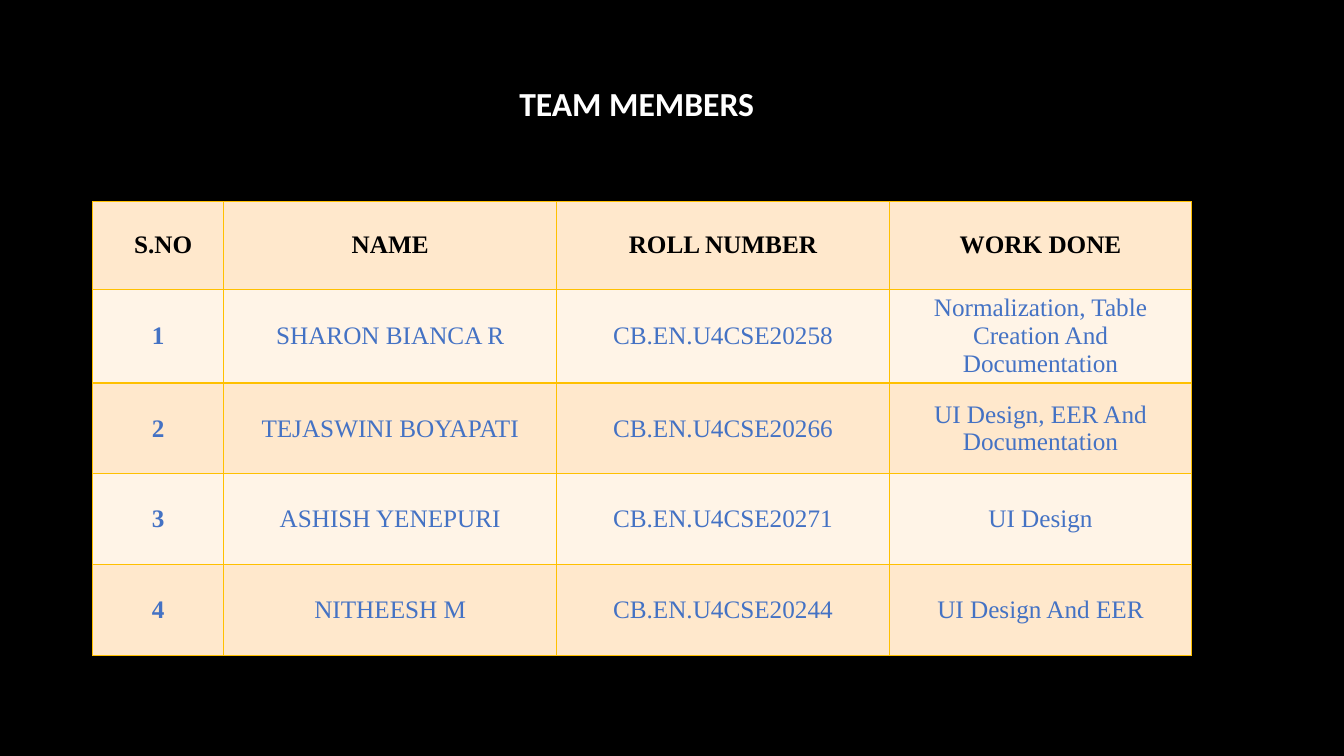
from lxml.etree import SubElement
from pptx import Presentation
from pptx.dml.color import RGBColor
from pptx.enum.text import MSO_ANCHOR, PP_ALIGN
from pptx.oxml.ns import qn
from pptx.util import Inches, Pt

COLORS = {
    "background": "000000",
    "title": "FFFFFF",
    "heading": "000000",
    "entry": "4472C4",
    "band_dark": "FFE8CC",
    "band_light": "FFF4E7",
    "border": "FFC000",
}
COLUMN_WIDTHS = [1.3, 3.3, 3.3, 3]
ROW_HEIGHTS = [0.87, 0.9, 0.9, 0.9, 0.9]
MEMBERS = [
    ["S.NO", "NAME", "ROLL NUMBER", "WORK DONE"],
    ["1", "SHARON BIANCA R", "CB.EN.U4CSE20258", "Normalization, Table Creation And Documentation"],
    ["2", "TEJASWINI BOYAPATI", "CB.EN.U4CSE20266", "UI Design, EER And Documentation"],
    ["3", "ASHISH YENEPURI", "CB.EN.U4CSE20271", "UI Design"],
    ["4", "NITHEESH M", "CB.EN.U4CSE20244", "UI Design And EER"],
]


def write_text(text_frame, text, size=18, font="Times New Roman", color="entry",
               bold=False, align=PP_ALIGN.CENTER):
    paragraph = text_frame.paragraphs[0]
    paragraph.alignment = align
    run = paragraph.add_run()
    run.text = text
    run.font.size = Pt(size)
    run.font.name = font
    run.font.bold = bold
    run.font.color.rgb = RGBColor.from_string(COLORS[color])


def add_borders(cell):
    properties = cell._tc.get_or_add_tcPr()
    for side in ("a:lnL", "a:lnR", "a:lnT", "a:lnB"):
        line = SubElement(properties, qn(side), w=str(Pt(1)))
        fill = SubElement(line, qn("a:solidFill"))
        SubElement(fill, qn("a:srgbClr"), val=COLORS["border"])


presentation = Presentation()
presentation.slide_width = Inches(13.33)
presentation.slide_height = Inches(7.5)
slide = presentation.slides.add_slide(presentation.slide_layouts[5])
slide.background.fill.solid()
slide.background.fill.fore_color.rgb = RGBColor.from_string(COLORS["background"])

title = slide.shapes.title
title.left, title.top = Inches(4.27), Inches(0.77)
title.width, title.height = Inches(4.09), Inches(0.5)
title.text_frame.vertical_anchor = MSO_ANCHOR.MIDDLE
write_text(title.text_frame, "TEAM MEMBERS", size=24, font="Calibri", color="title", bold=True)

table = slide.shapes.add_table(
    len(MEMBERS), len(COLUMN_WIDTHS), Inches(0.92), Inches(2),
    Inches(sum(COLUMN_WIDTHS)), Inches(sum(ROW_HEIGHTS)),
).table
for column, width in zip(table.columns, COLUMN_WIDTHS):
    column.width = Inches(width)

for row_index, member in enumerate(MEMBERS):
    table.rows[row_index].height = Inches(ROW_HEIGHTS[row_index])
    is_heading = row_index == 0
    band = "band_light" if row_index % 2 else "band_dark"
    for column_index, text in enumerate(member):
        cell = table.cell(row_index, column_index)
        cell.vertical_anchor = MSO_ANCHOR.MIDDLE
        add_borders(cell)
        cell.fill.solid()
        cell.fill.fore_color.rgb = RGBColor.from_string(COLORS[band])
        write_text(
            cell.text_frame, text,
            color="heading" if is_heading else "entry",
            bold=is_heading or column_index == 0,
        )

number_heading = table.cell(0, 0)
number_heading.margin_left = Inches(0.41)
number_heading.text_frame.paragraphs[0].alignment = PP_ALIGN.LEFT

presentation.save("out.pptx")
